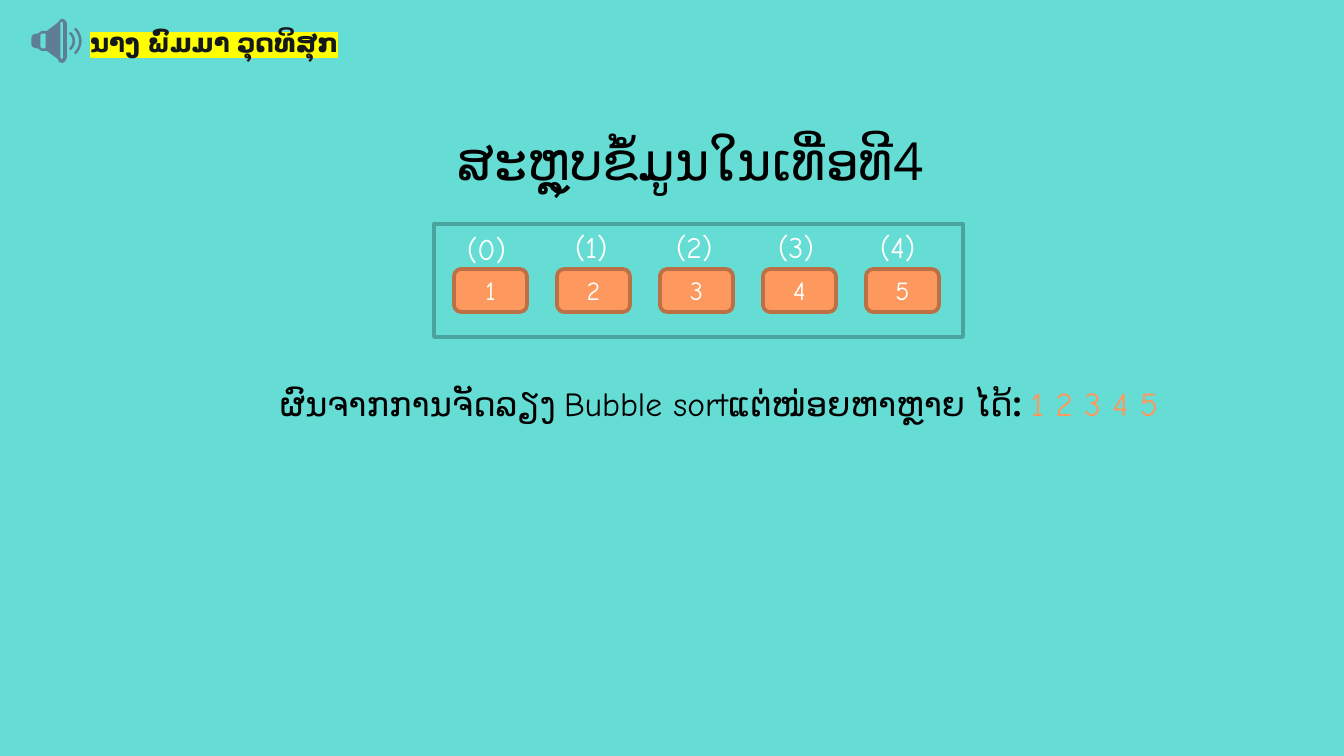
import math

import pptx
import pptx.util
from lxml import etree
from pptx.dml.color import RGBColor
from pptx.enum.shapes import MSO_SHAPE
from pptx.enum.text import MSO_ANCHOR, MSO_AUTO_SIZE, PP_ALIGN
from pptx.oxml.ns import qn

PX = 914400 / 134.4

TEAL = RGBColor(0x66, 0xDD, 0xD4)
DARK_TEAL = RGBColor(0x4B, 0xA3, 0x9D)
ORANGE = RGBColor(0xFD, 0x98, 0x5E)
BROWN = RGBColor(0xBB, 0x70, 0x46)
SLATE = RGBColor(0x5F, 0x7D, 0x95)
INK = RGBColor(0x14, 0x18, 0x1A)
BLACK = RGBColor(0, 0, 0)
WHITE = RGBColor(255, 255, 255)
SANS, COMIC = "Open Sans", "Comic Neue"

# Content: runs are (text, font, size, colour, bold)
SPEAKER_NAME = [("ນາງ ພົມມາ ວຸດທິສຸກ", SANS, 14, INK, True)]
HEADING = [("ສະຫຼຸບຂໍ້ມູນໃນເທື່ອທີ4", SANS, 28, BLACK, False)]
RESULT = [
    ("ຜົນຈາກການຈັດລຽງ ", SANS, 18, BLACK, False),
    ("Bubble sortແຕ່ໜ່ອຍຫາຫຼາຍ ", COMIC, 18, BLACK, False),
    ("ໄດ້", SANS, 18, BLACK, False),
    (": ", SANS, 18, BLACK, True),
    ("1 2 3 4 5", COMIC, 18, ORANGE, False),
]
VALUES = [1, 2, 3, 4, 5]
INDEX_POSITIONS = [(454, 224), (562, 222), (663, 222), (765, 222), (867, 222)]

# Loudspeaker outline and its two openings, in tenths of a px
LOUDSPEAKER = [
    [(610, 190), (580, 225), (470, 310), (417, 310), (380, 336), (360, 336),
     (325, 350), (314, 376), (314, 444), (325, 470), (360, 484), (380, 484),
     (417, 510), (470, 510), (578, 590), (590, 620), (625, 630), (655, 610),
     (668, 580), (668, 230), (655, 205), (632, 190)],
    [(457, 336), (457, 484), (417, 484), (403, 470), (403, 350), (417, 336)],
    [(618, 215), (632, 228), (632, 578), (618, 591), (605, 578), (605, 228)],
]
WAVE_CENTRE = (633, 410)
WAVES = [(105, 52), (170, 47)]  # radius, half angle in degrees
WAVE_WIDTH = 25


def box(x, y, w, h):
    return [pptx.util.Emu(round(v * PX)) for v in (x, y, w, h)]


def add_runs(p, runs):
    for text, font, size, colour, bold in runs:
        r = p.add_run()
        r.text = text
        r.font.name = font
        r.font.size = pptx.util.Pt(size)
        r.font.bold = bold
        r.font.color.rgb = colour


def write(s, runs, align=PP_ALIGN.LEFT):
    tf = s.text_frame
    tf.word_wrap = True
    tf.auto_size = MSO_AUTO_SIZE.SHAPE_TO_FIT_TEXT
    tf.vertical_anchor = MSO_ANCHOR.TOP
    p = tf.paragraphs[0]
    p.alignment = align
    add_runs(p, runs)
    return p


def add_text(shapes, place, runs):
    return write(shapes.add_textbox(*box(*place)), runs)


def add_block(shapes, kind, place, fill, line):
    s = shapes.add_shape(kind, *box(*place))
    s.shadow.inherit = False
    s.fill.solid()
    s.fill.fore_color.rgb = fill
    s.line.color.rgb = line
    s.line.width = pptx.util.Pt(2)
    return s


def add_outline(shapes, contours):
    first, *others = contours
    builder = shapes.build_freeform(*first[0], scale=PX / 10)
    builder.add_line_segments(first[1:], close=True)
    for contour in others:
        builder.move_to(*contour[0])
        builder.add_line_segments(contour[1:], close=True)
    s = builder.convert_to_shape()
    s.shadow.inherit = False
    s.fill.solid()
    s.fill.fore_color.rgb = SLATE
    s.line.fill.background()


def arc(radius, half_angle):
    cx, cy = WAVE_CENTRE
    angles = [math.radians(half_angle * i / 8) for i in range(-8, 9)]
    return [(round(cx + radius * math.cos(a)), round(cy + radius * math.sin(a)))
            for a in angles]


prs = pptx.Presentation()
prs.slide_width, prs.slide_height = box(0, 0, 1344, 756)[2:]
slide = prs.slides.add_slide(prs.slide_layouts[5])
shapes = slide.shapes
slide.background.fill.solid()
slide.background.fill.fore_color.rgb = TEAL

# Heading
title = shapes.title
title.left, title.top, title.width, title.height = box(431, 121, 519, 77)
write(title, HEADING, PP_ALIGN.CENTER)

# Sorted array with an index above each cell
add_block(shapes, MSO_SHAPE.RECTANGLE, (434, 224, 529, 113), TEAL, DARK_TEAL)
for i, value in enumerate(VALUES):
    cell = add_block(shapes, MSO_SHAPE.ROUNDED_RECTANGLE,
                     (454 + 103 * i, 269, 73, 43), ORANGE, BROWN)
    tf = cell.text_frame
    tf.vertical_anchor = MSO_ANCHOR.MIDDLE
    tf.paragraphs[0].alignment = PP_ALIGN.CENTER
    add_runs(tf.paragraphs[0], [(str(value), COMIC, 14, WHITE, False)])
    add_text(shapes, (*INDEX_POSITIONS[i], 78, 50),
             [(f"({i})", COMIC, 16, WHITE, False)])

# Result line
add_text(shapes, (267, 376, 930, 54), RESULT)

# Loudspeaker icon
add_outline(shapes, LOUDSPEAKER)
for radius, half_angle in WAVES:
    inner = arc(radius - WAVE_WIDTH / 2, half_angle)
    outer = arc(radius + WAVE_WIDTH / 2, half_angle)
    add_outline(shapes, [outer + inner[::-1]])

# Highlighted name
p = add_text(shapes, (77, 20, 289, 46), SPEAKER_NAME)
fill = p.runs[0].font._element.find(qn("a:solidFill")) if hasattr(
    p.runs[0].font, "_element") else p._p.find(".//" + qn("a:solidFill"))
highlight = etree.Element(qn("a:highlight"))
etree.SubElement(highlight, qn("a:srgbClr"), val="FFFF00")
fill.addnext(highlight)

prs.save("out.pptx")
